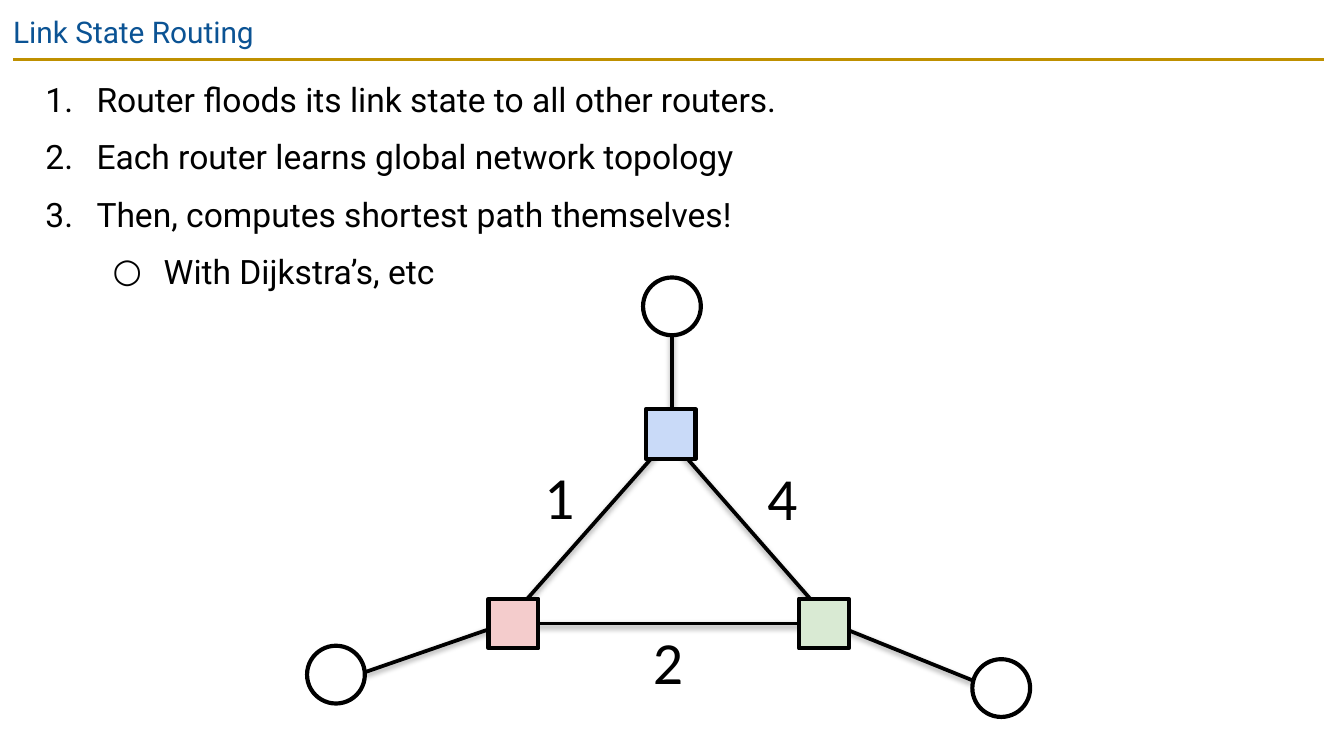
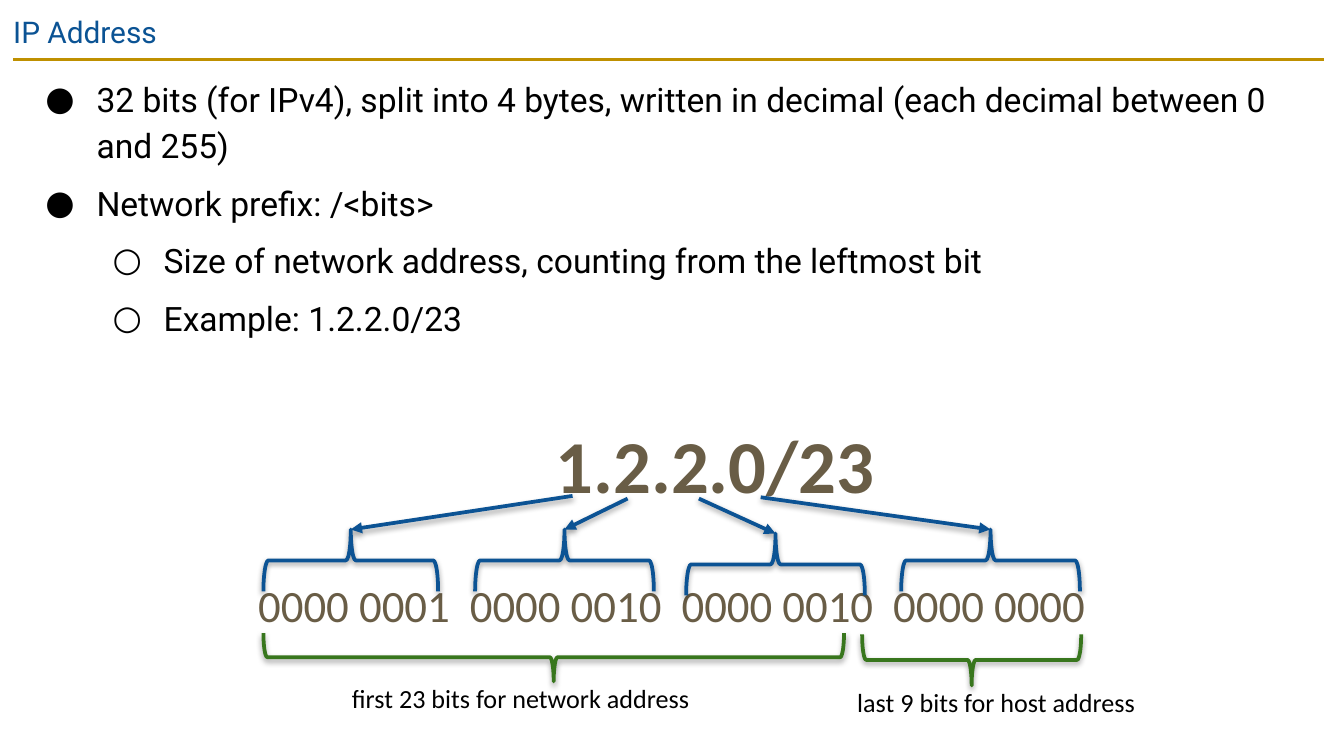
from dataclasses import dataclass

from lxml.etree import SubElement
from pptx import Presentation
from pptx.dml.color import RGBColor
from pptx.enum.shapes import MSO_CONNECTOR, MSO_SHAPE
from pptx.enum.text import PP_ALIGN
from pptx.oxml.ns import qn
from pptx.util import Inches, Pt


@dataclass(frozen=True)
class Theme:
    # Colours
    ink: str = "000000"
    paper: str = "FFFFFF"
    title: str = "0B5394"
    rule: str = "BF9000"
    brown: str = "695D46"
    blue: str = "0C5394"
    green: str = "38761D"
    sky: str = "C9DAF8"
    rose: str = "F4CCCC"
    mint: str = "D9EAD3"
    # Fonts and type sizes
    main: str = "Roboto"
    plain: str = "Calibri"
    head: int = 16
    body: int = 18
    cost: int = 32
    large: int = 40
    bits: int = 24
    note: int = 14
    # Line widths
    thin: float = 1.5
    link: float = 2
    edge: float = 2.25


class Deck:
    """Draws on a grid of 100 columns; rows are as high as columns are wide."""

    def __init__(self, theme):
        self.theme = theme
        self.prs = Presentation()
        self.prs.slide_width, self.prs.slide_height = Inches(10), Inches(5.625)
        self.cell = self.prs.slide_width / 100
        self.slide = None

    def grid(self, *vals):
        return [round(val * self.cell) for val in vals]

    def page(self, title):
        t = self.theme
        self.slide = self.prs.slides.add_slide(self.prs.slide_layouts[6])
        self.line((1, 4.4), (98.5, 4.4), t.rule, t.thin, shade=False)
        frame = self.frame(0, 0, 100, 4.3, 1)
        self.run(frame.paragraphs[0], title, t.head, t.title, t.main)

    def frame(self, x, y, w, h, pad=0.5):
        frame = self.slide.shapes.add_textbox(*self.grid(x, y, w, h)).text_frame
        frame.word_wrap = True
        frame.margin_left, frame.margin_top = self.grid(1, pad)
        frame.margin_right, frame.margin_bottom = self.grid(1, pad)
        return frame

    def run(self, para, text, size, color, font, bold=False):
        run = para.add_run()
        run.text = text
        run.font.size, run.font.name, run.font.bold = Pt(size), font, bold
        run.font.color.rgb = RGBColor.from_string(color)

    def label(self, text, box, size, color=None, align=PP_ALIGN.LEFT, bold=False):
        para = self.frame(*box).paragraphs[0]
        para.alignment = align
        self.run(para, text, size, color or self.theme.ink, self.theme.plain, bold)

    def list(self, items):
        """Each item is (level, mark, text); the mark "1." counts up."""
        t = self.theme
        frame = self.frame(1.2, 4.4, 97.4, 49.5, 1)
        for i, (level, mark, text) in enumerate(items):
            para = frame.add_paragraph() if i else frame.paragraphs[0]
            para.level = level
            props = para._p.get_or_add_pPr()
            props.set("marL", str(Inches(0.5 * (level + 1))))
            props.set("indent", str(-Inches(0.38)))
            tint = SubElement(props, qn("a:buClr"))
            SubElement(tint, qn("a:srgbClr"), val=t.ink)
            SubElement(props, qn("a:buFont"), typeface=t.main)
            if mark == "1.":
                SubElement(props, qn("a:buAutoNum"), type="arabicPeriod")
            else:
                SubElement(props, qn("a:buChar"), char=mark)
            para.line_spacing = 1.15
            para.space_before = Pt(6 if i else 0)
            self.run(para, text, t.body, t.ink, t.main)

    def pen(self, item, color, width):
        item.line.color.rgb = RGBColor.from_string(color)
        item.line.width = Pt(width)

    def shade(self, item, on=True):
        """Sets a soft shadow straight below, or none."""
        props = item.element.spPr
        for old in props.findall(qn("a:effectLst")):
            props.remove(old)
        effects = SubElement(props, qn("a:effectLst"))
        if on:
            cast = SubElement(effects, qn("a:outerShdw"), blurRad=str(Pt(3.1)),
                              dist=str(Pt(1.6)), dir="5400000", rotWithShape="0")
            tint = SubElement(cast, qn("a:srgbClr"), val=self.theme.ink)
            SubElement(tint, qn("a:alpha"), val="37000")

    def line(self, start, end, color, width, arrow=False, shade=True):
        line = self.slide.shapes.add_connector(
            MSO_CONNECTOR.STRAIGHT, *self.grid(*start, *end))
        self.pen(line, color, width)
        if arrow:
            SubElement(line.line._get_or_add_ln(), qn("a:tailEnd"), type="triangle")
        self.shade(line, shade)

    def node(self, kind, mid, size, fill):
        x, y = mid
        node = self.slide.shapes.add_shape(
            kind, *self.grid(x - size / 2, y - size / 2, size, size))
        node.fill.solid()
        node.fill.fore_color.rgb = RGBColor.from_string(fill)
        self.pen(node, self.theme.ink, self.theme.edge)
        self.shade(node, False)

    def brace(self, mid, depth, span, turn, color):
        x, y = mid
        brace = self.slide.shapes.add_shape(
            MSO_SHAPE.LEFT_BRACE,
            *self.grid(x - depth / 2, y - span / 2, depth, span))
        brace.rotation = turn
        brace.adjustments[0] = 0.08
        brace.fill.background()
        self.pen(brace, color, self.theme.link)
        self.shade(brace)


def route(deck):
    t = deck.theme
    deck.page("Link State Routing")
    deck.list([
        (0, "1.", "Router floods its link state to all other routers."),
        (0, "1.", "Each router learns global network topology"),
        (0, "1.", "Then, computes shortest path themselves!"),
        (1, "○", "With Dijkstra’s, etc"),
    ])
    # Links between routers, then links to hosts
    top, left, right = (49.8, 32.6), (37.6, 46.4), (61.9, 46.4)
    links = [(left, top), (right, top), (left, right),
             ((27.2, 50), left), ((50, 24.6), (50, 32)), ((72.3, 50.6), right)]
    for start, end in links:
        deck.line(start, end, t.ink, t.link)
    # Link costs
    for cost, x, y in (("4", 56.1, 33.8), ("2", 47.6, 46), ("1", 39.5, 33.7)):
        deck.label(cost, (x, y, 4.3, 6.4), t.cost)
    # Hosts and routers
    for mid in ((50, 22.8), (25, 50.2), (74.5, 51.2)):
        deck.node(MSO_SHAPE.OVAL, mid, 4.3, t.paper)
    for mid, fill in (((49.9, 32.3), t.sky), ((38.2, 46.4), t.rose),
                      ((61.3, 46.4), t.mint)):
        deck.node(MSO_SHAPE.RECTANGLE, mid, 3.7, fill)


def address(deck):
    t = deck.theme
    deck.page("IP Address")
    deck.list([
        (0, "●", "32 bits (for IPv4), split into 4 bytes, written in decimal "
                 "(each decimal between 0 and 255)"),
        (0, "●", "Network prefix: /<bits>"),
        (1, "○", "Size of network address, counting from the leftmost bit"),
        (1, "○", "Example: 1.2.2.0/23"),
    ])
    deck.label("1.2.2.0/23", (38.2, 30.7, 30, 7.8), t.large, t.brown,
               PP_ALIGN.CENTER, True)
    # Bytes: bits, brace centre, brace span, arrow start
    parts = [("0000 0001", (26.1, 41.7), 13, (42.6, 36.9)),
             ("0000 0010", (42, 41.7), 13.3, (46.7, 37.1)),
             ("0000 0010", (57.7, 42), 13.3, (52, 37.1)),
             ("0000 0000", (73.7, 41.7), 13.3, (56.6, 37))]
    depth, first, step, wide = 4.6, 26.35, 15.75, 18
    for i, (bits, mid, span, start) in enumerate(parts):
        deck.label(bits, (first + i * step - wide / 2, 42.5, wide, 5.1),
                   t.bits, t.brown, PP_ALIGN.CENTER)
        deck.line(start, (mid[0], mid[1] - depth / 2), t.blue, t.link, True)
        deck.brace(mid, depth, span, 90, t.blue)
    # Network and host shares
    shares = [("first 23 bits for network address", (41.2, 48.9), 3.6, 43.2,
               (25.2, 50.3, 27.4, 3.4)),
              ("last 9 bits for host address", (72.3, 49.1), 3.8, 16.3,
               (62.8, 50.6, 25.3, 3.4))]
    for text, mid, deep, span, box in shares:
        deck.brace(mid, deep, span, 270, t.green)
        deck.label(text, box, t.note)


def main():
    deck = Deck(Theme())
    route(deck)
    address(deck)
    deck.prs.save("out.pptx")


if __name__ == "__main__":
    main()
